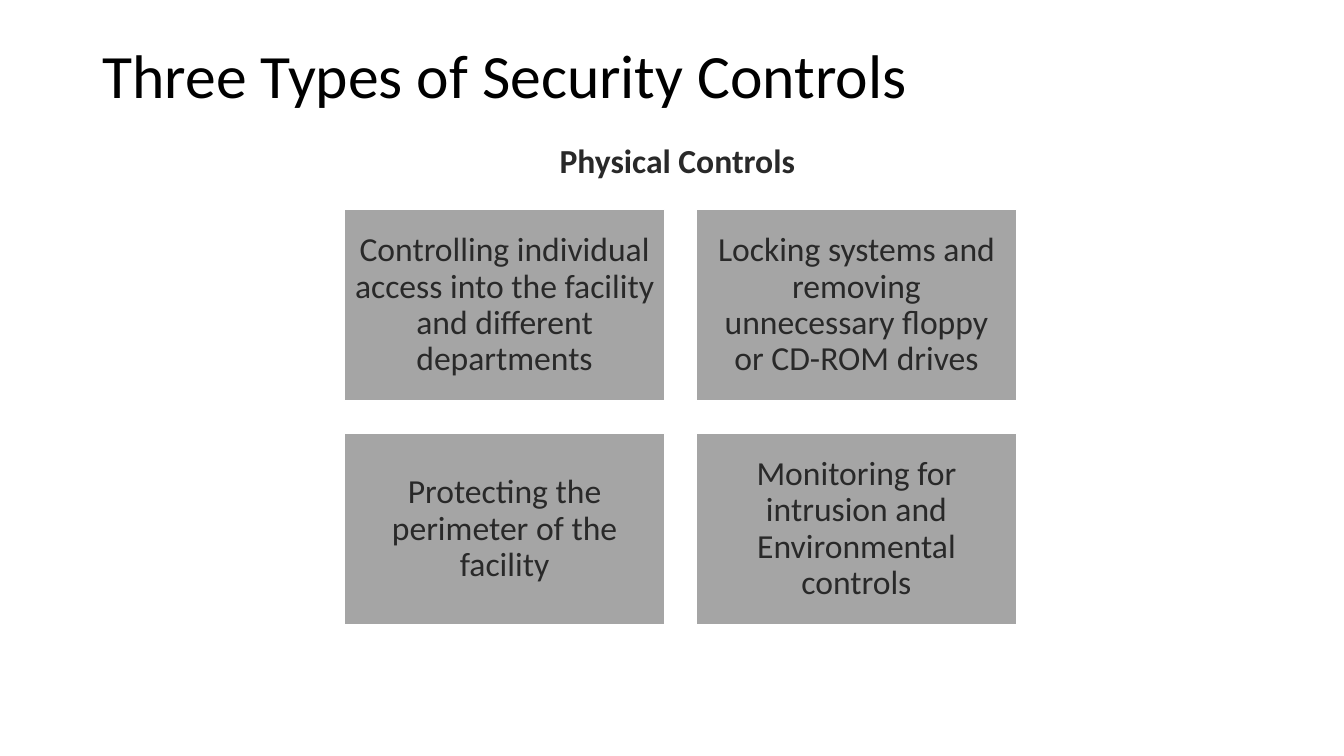
import pptx
import pptx.util
import pptx.dml.color
import pptx.enum.shapes
import pptx.enum.text

Inches = pptx.util.Inches
Align = pptx.enum.text.PP_ALIGN
Anchor = pptx.enum.text.MSO_ANCHOR
BLACK = pptx.dml.color.RGBColor(0x00, 0x00, 0x00)
CHARCOAL = pptx.dml.color.RGBColor(0x29, 0x29, 0x29)
GRAY = pptx.dml.color.RGBColor(0xA5, 0xA5, 0xA5)
WHITE = pptx.dml.color.RGBColor(0xFF, 0xFF, 0xFF)


def write_text(shape, text, size=24, color=CHARCOAL, bold=False,
               align=Align.CENTER, anchor=Anchor.TOP):
    frame = shape.text_frame
    frame.word_wrap = True
    frame.vertical_anchor = anchor
    paragraph = frame.paragraphs[0]
    paragraph.alignment = align
    paragraph.line_spacing = 0.9
    run = paragraph.add_run()
    run.text = text
    run.font.name = "Calibri"
    run.font.size = pptx.util.Pt(size)
    run.font.bold = bold
    run.font.color.rgb = color


deck = pptx.Presentation()
deck.slide_width = Inches(13.33)
deck.slide_height = Inches(7.5)
slide = deck.slides.add_slide(deck.slide_layouts[6])

title = slide.shapes.add_textbox(Inches(0.92), Inches(0.4), Inches(11.5), Inches(1.45))
write_text(title, "Three Types of Security Controls", size=44, color=BLACK, align=Align.LEFT)

subtitle = slide.shapes.add_textbox(Inches(3.42), Inches(1.38), Inches(6.67), Inches(0.54))
write_text(subtitle, "Physical Controls ", bold=True)

controls = [
    "Controlling individual access into the facility and different departments",
    "Locking systems and removing unnecessary floppy or CD-ROM drives",
    "Protecting the perimeter of the facility",
    "Monitoring for intrusion and Environmental controls",
]
width, height, gap = 3.17, 1.9, 0.32

for index, description in enumerate(controls):
    row, column = divmod(index, 2)
    control = slide.shapes.add_shape(
        pptx.enum.shapes.MSO_SHAPE.RECTANGLE,
        Inches(3.42 + column * (width + gap)), Inches(2.08 + row * (height + gap)),
        Inches(width), Inches(height))
    control.shadow.inherit = False
    control.fill.solid()
    control.fill.fore_color.rgb = GRAY
    control.line.color.rgb = WHITE
    control.line.width = pptx.util.Pt(1)
    frame = control.text_frame
    frame.margin_left = frame.margin_right = Inches(0.1)
    frame.margin_top = frame.margin_bottom = Inches(0.1)
    write_text(control, description, anchor=Anchor.MIDDLE)

deck.save("out.pptx")
